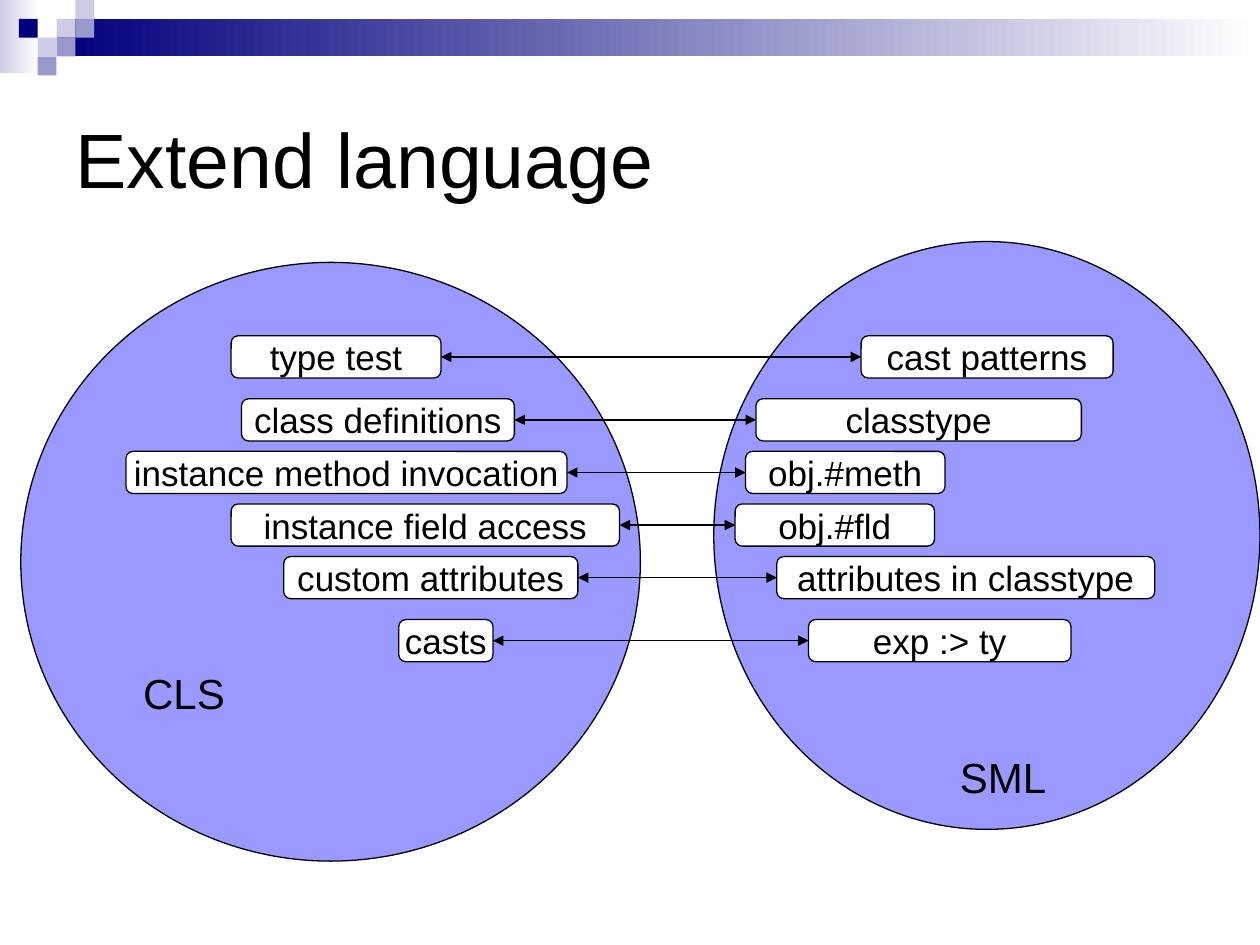
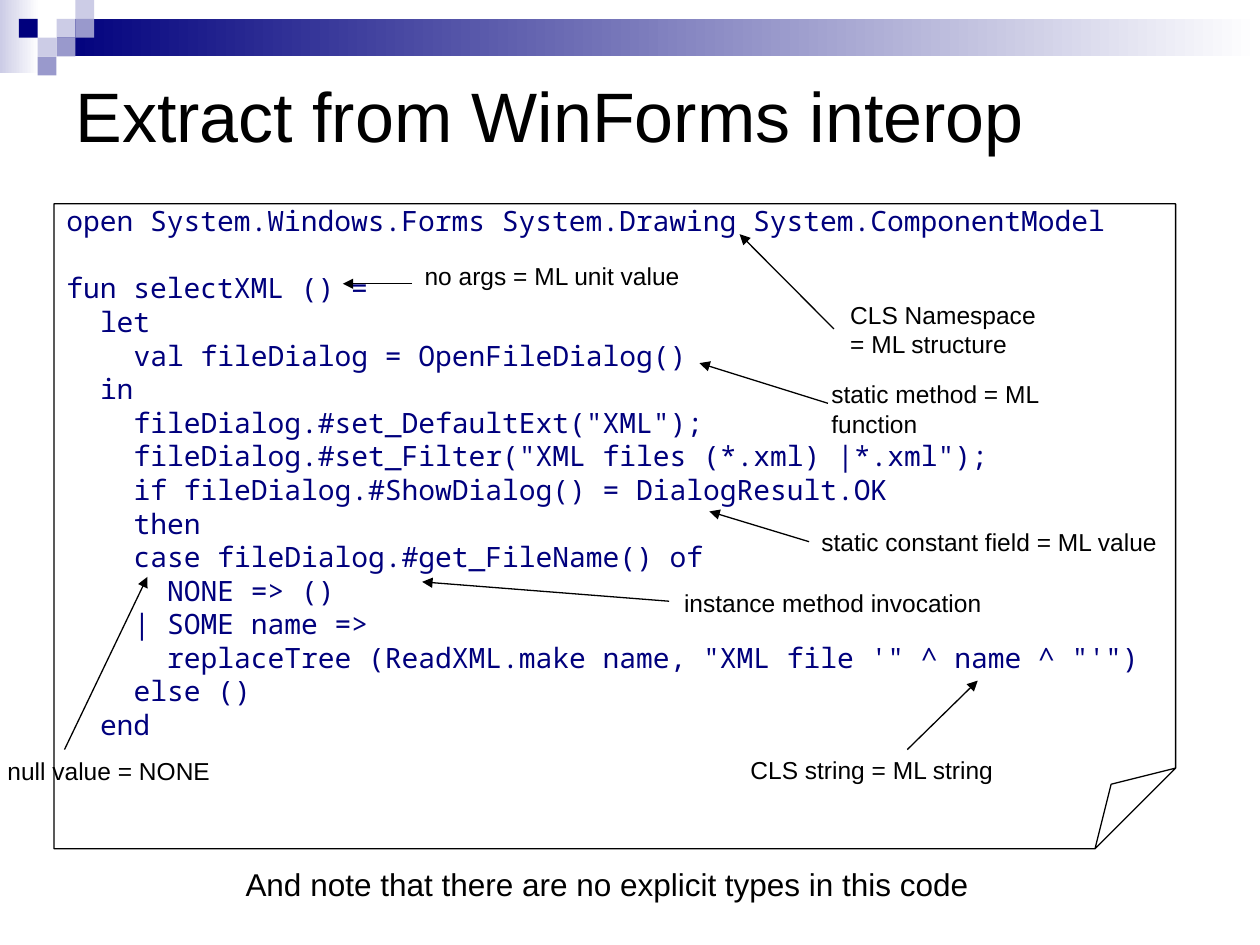
from dataclasses import dataclass

from lxml import etree
from pptx import Presentation
from pptx.dml.color import RGBColor
from pptx.enum.shapes import MSO_CONNECTOR, MSO_SHAPE
from pptx.enum.text import MSO_ANCHOR, PP_ALIGN
from pptx.oxml.ns import qn
from pptx.util import Cm, Pt

LEFT, CENTER = PP_ALIGN.LEFT, PP_ALIGN.CENTER
TOP, MIDDLE = MSO_ANCHOR.TOP, MSO_ANCHOR.MIDDLE
RECT, ROUND = MSO_SHAPE.RECTANGLE, MSO_SHAPE.ROUNDED_RECTANGLE
OVAL, FOLDED = MSO_SHAPE.OVAL, MSO_SHAPE.FOLDED_CORNER
STRAIGHT = MSO_CONNECTOR.STRAIGHT


@dataclass(frozen=True)
class Theme:
    black: str = "000000"
    white: str = "FFFFFF"
    navy: str = "00007D"
    mid: str = "9999CC"
    pale: str = "CCCCE6"
    disc: str = "9999FF"
    sans: str = "Arial"
    mono: str = "Noto Sans Mono"
    title: int = 44
    small: int = 40
    label: int = 24
    item: int = 20
    foot: int = 18
    code: int = 16
    note: int = 14
    line: float = 0.75


T = Theme()


def draw(shapes, kind, box, fill=None, line=None):
    """Add a flat shape; a pair of fill colours makes a left-to-right fade."""
    shape = shapes.add_shape(kind, *map(Cm, box))
    shape.shadow.inherit = False
    if isinstance(fill, tuple):
        shape.fill.gradient()
        shape.fill.gradient_angle = 0
        for stop, tone in zip(shape.fill.gradient_stops, fill):
            stop.color.rgb = RGBColor.from_string(tone)
    elif fill:
        shape.fill.solid()
        shape.fill.fore_color.rgb = RGBColor.from_string(fill)
    else:
        shape.fill.background()
    if line:
        shape.line.color.rgb = RGBColor.from_string(line)
        shape.line.width = Pt(T.line)
    else:
        shape.line.fill.background()
    return shape


def write(shape, text, size=T.note, font=T.sans, color=T.black,
          align=LEFT, anchor=TOP, wrap=True, step=0, gap=0):
    """Fill a shape with text, one paragraph a line.

    Each leading space indents by step points; a blank line
    becomes gap points above the next paragraph.
    """
    frame = shape.text_frame
    frame.word_wrap = wrap
    frame.vertical_anchor = anchor
    para, space = frame.paragraphs[0], 0
    for num, line in enumerate(text.split("\n")):
        words = line.lstrip()
        if not words:
            space = gap
            continue
        if num:
            para = frame.add_paragraph()
        para.alignment = align
        para.space_before = Pt(space)
        space = 0
        if step:
            inset = Pt(step * (len(line) - len(words)))
            para._p.get_or_add_pPr().set("marL", str(inset))
        run = para.add_run()
        run.text = words
        run.font.size = Pt(size)
        run.font.name = font
        run.font.color.rgb = RGBColor.from_string(color)


deck = Presentation()
deck.slide_width, deck.slide_height = Cm(25.4), Cm(19.05)
plain = deck.slide_layouts.get_by_name("Title Only")

# Slides and titles
slides = []
for text, size, height in [
    ("Extend language", T.title, 3.81),
    ("Extract from WinForms interop", T.small, 2.06),
]:
    slide = deck.slides.add_slide(plain)
    title = slide.shapes.title
    title.left, title.top = Cm(1.27), Cm(1.27)
    title.width, title.height = Cm(22.86), Cm(height)
    write(title, text, size=size, anchor=MIDDLE)
    slides.append(slide)
first, second = [slide.shapes for slide in slides]

# Header band, built as a group and moved to the master behind its text
CELL = 0.38
band = first.add_group_shape()
draw(band.shapes, RECT, (0, 0, 0.79, 1.47), (T.pale, T.white))
draw(band.shapes, RECT, (3 * CELL, CELL, 24.26, 2 * CELL), (T.navy, T.white))
for col, row, tone in [
    (3, 1, T.pale), (4, 0, T.pale), (4, 1, T.mid), (2, 2, T.pale),
    (1, 1, T.navy), (3, 2, T.mid), (2, 3, T.mid),
]:
    draw(band.shapes, RECT, (col * CELL, row * CELL, CELL, CELL), tone)
deck.slide_master.shapes.element.insert(2, band.element)

# Two languages and the features that match
arrows = []
for name, disc, spot in [
    ("CLS", (0.42, 5.29, 12.49, 12.07), (2.12, 13.34)),
    ("SML", (14.39, 4.87, 11.01, 11.85), (18.63, 15.03)),
]:
    draw(first, OVAL, disc, T.disc, T.black)
    label = first.add_textbox(*map(Cm, (*spot, 3.18, 1.27)))
    write(label, name, size=T.label, align=CENTER)

# top, then text, left and width on each side
for top, *sides in [
    (6.77, ("type test", 4.66, 4.23), ("cast patterns", 17.36, 5.08)),
    (8.04, ("class definitions", 4.87, 5.5), ("classtype", 15.24, 6.56)),
    (9.1, ("instance method invocation", 2.54, 8.89),
     ("obj.#meth", 15.03, 4.02)),
    (10.16, ("instance field access", 4.66, 7.83), ("obj.#fld", 14.82, 4.02)),
    (11.22, ("custom attributes", 5.72, 5.93),
     ("attributes in classtype", 15.66, 7.62)),
    (12.49, ("casts", 8.04, 1.9), ("exp :> ty", 16.3, 5.29)),
]:
    pair = []
    for text, left, width in sides:
        item = draw(first, ROUND, (left, top, width, 0.85), T.white, T.black)
        write(item, text, size=T.item, align=CENTER, anchor=MIDDLE, wrap=False)
        pair.append(item)
    arrow = first.add_connector(STRAIGHT, 0, 0, 0, 0)
    arrow.begin_connect(pair[0], 3)
    arrow.end_connect(pair[1], 1)
    arrows.append((arrow, ("headEnd", "tailEnd")))

# Code page
CODE = """open System.Windows.Forms System.Drawing System.ComponentModel

fun selectXML () =
  let
    val fileDialog = OpenFileDialog()
  in
    fileDialog.#set_DefaultExt("XML");
    fileDialog.#set_Filter("XML files (*.xml) |*.xml");
    if fileDialog.#ShowDialog() = DialogResult.OK
    then
    case fileDialog.#get_FileName() of
      NONE => ()
    | SOME name =>
      replaceTree (ReadXML.make name, "XML file '" ^ name ^ "'")
    else ()
  end"""
page = draw(second, FOLDED, (1.09, 4.11, 22.61, 13), line=T.black)
guides = page.element.spPr.find(".//" + qn("a:avLst"))
etree.SubElement(guides, qn("a:gd"), name="adj", fmla="val 12500")
page.text_frame.margin_top = 0
write(page, CODE, size=T.code, font=T.mono, color=T.navy,
      step=0.6 * T.code, gap=1.2 * T.code)

# Notes: text, left, top and width, alignment, arrow from and to
for text, spot, align, ends in [
    ("instance method invocation", (13.54, 11.73, 6.78), LEFT,
     (13.49, 12.12, 8.51, 11.73)),
    ("CLS Namespace = ML structure", (16.89, 5.92, 4.45), LEFT,
     (16.81, 6.63, 14.91, 4.72)),
    ("static method = ML function", (16.51, 7.52, 6.55), LEFT,
     (16.69, 8.13, 14.1, 7.32)),
    ("null value = NONE", (-0.1, 15.11, 4.65), LEFT,
     (1.3, 15.11, 2.97, 11.63)),
    ("static constant field = ML value", (16.31, 10.49, 7.42), LEFT,
     (16.31, 10.92, 14.3, 10.31)),
    ("no args = ML unit value", (8.31, 5.13, 6.35), LEFT,
     (8.31, 5.72, 6.91, 5.72)),
    ("CLS string = ML string", (14.4, 15.09, 6.35), CENTER,
     (18.29, 15.11, 19.71, 13.72)),
]:
    note = second.add_textbox(*map(Cm, (*spot, 0.86)))
    write(note, text, align=align)
    arrow = second.add_connector(STRAIGHT, *map(Cm, ends))
    arrows.append((arrow, ("tailEnd",)))

foot = second.add_textbox(*map(Cm, (4.7, 17.32, 15.09, 1.02)))
write(foot, "And note that there are no explicit types in this code",
      size=T.foot, wrap=False)

# Arrow style
for arrow, tips in arrows:
    arrow.line.color.rgb = RGBColor.from_string(T.black)
    arrow.line.width = Pt(T.line)
    props = arrow.element.spPr
    for tip in tips:
        etree.SubElement(props.get_or_add_ln(), qn("a:" + tip), type="triangle")
    etree.SubElement(props, qn("a:effectLst"))

deck.save("out.pptx")
